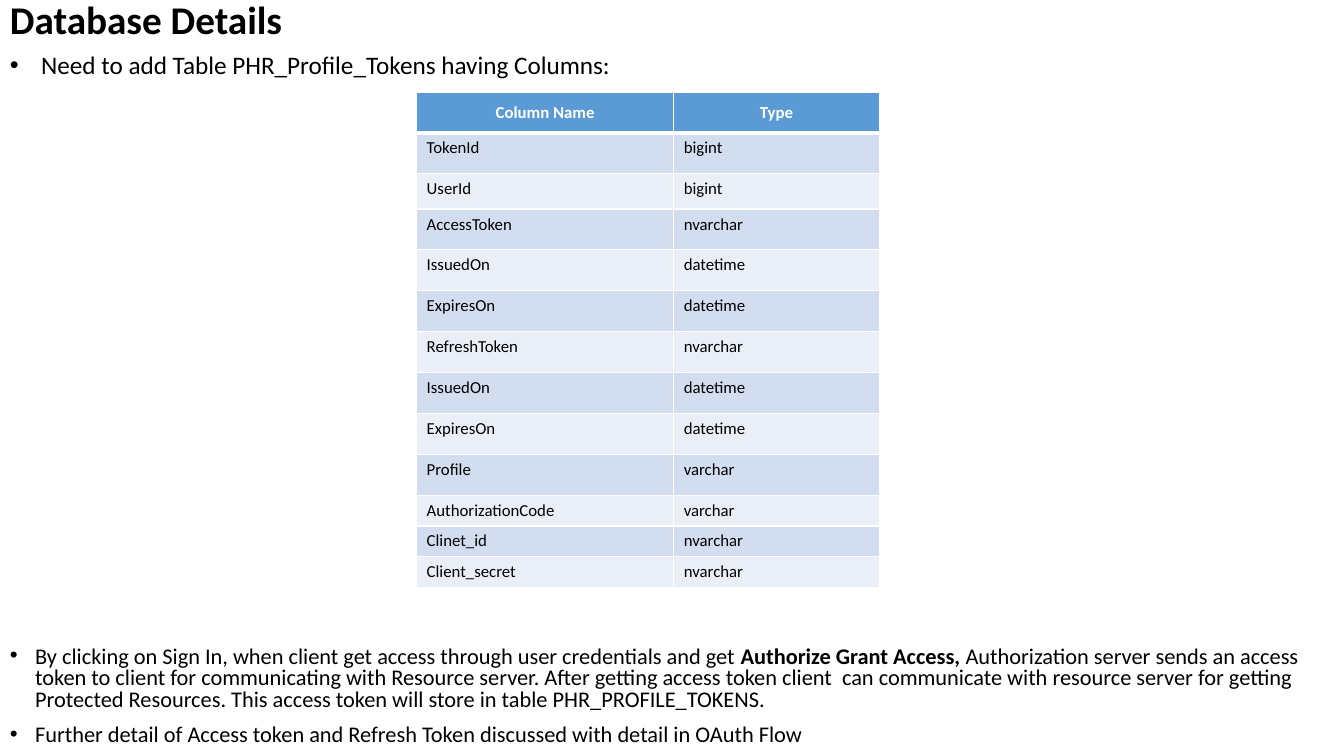
from dataclasses import dataclass

from lxml.etree import SubElement
from pptx import Presentation
from pptx.dml.color import RGBColor
from pptx.enum.text import MSO_ANCHOR as Anchor, PP_ALIGN as Align
from pptx.oxml.ns import qn
from pptx.util import Inches, Pt

GRID_COLUMNS, GRID_ROWS = 160, 90


@dataclass(frozen=True)
class Theme:
    font: str = "Calibri"
    ink: str = "000000"
    paper: str = "FFFFFF"
    header: str = "5B9BD5"
    bands: tuple = ("D2DEEF", "EAEFF7")
    title_size: int = 28
    lead_size: int = 18
    body_size: int = 16
    table_size: int = 12
    rule: int = 1
    header_rule: int = 3


class SlideBuilder:
    def __init__(self, deck, theme):
        self.theme = theme
        self.column = deck.slide_width / GRID_COLUMNS
        self.row = deck.slide_height / GRID_ROWS
        self.page = deck.slides.add_slide(deck.slide_layouts[6])
        self.page.background.fill.solid()
        self.page.background.fill.fore_color.rgb = RGBColor.from_string(theme.paper)

    def place(self, left, top, width, height):
        return (round(left * self.column), round(top * self.row),
                round(width * self.column), round(height * self.row))

    def style(self, span, size, color, bold=False):
        span.font.name = self.theme.font
        span.font.size = Pt(size)
        span.font.bold = bold
        span.font.color.rgb = RGBColor.from_string(color)

    def text_box(self, area, paragraphs, size, anchor=Anchor.TOP, wrap=True,
                 spacing=1.0, before=0, indent=None):
        frame = self.page.shapes.add_textbox(*self.place(*area)).text_frame
        frame.word_wrap = wrap
        frame.vertical_anchor = anchor
        for index, pieces in enumerate(paragraphs):
            para = frame.add_paragraph() if index else frame.paragraphs[0]
            para.line_spacing = spacing
            para.space_before = Pt(before)
            if indent:
                self.bullet(para, indent)
            for words, bold in pieces:
                span = para.add_run()
                span.text = words
                self.style(span, size, self.theme.ink, bold)

    def bullet(self, para, indent):
        properties = para._p.get_or_add_pPr()
        properties.set("marL", str(Inches(indent)))
        properties.set("indent", str(-Inches(indent)))
        SubElement(properties, qn("a:buFont"), typeface="Arial")
        SubElement(properties, qn("a:buChar"), char="•")

    def borders(self, cell, bottom, top):
        properties = cell._tc.get_or_add_tcPr()
        widths = {"lnL": self.theme.rule, "lnR": self.theme.rule, "lnT": top, "lnB": bottom}
        for position, (side, width) in enumerate(widths.items()):
            line = SubElement(properties, qn(f"a:{side}"), w=str(Pt(width)))
            fill = SubElement(line, qn("a:solidFill"))
            SubElement(fill, qn("a:srgbClr"), val=self.theme.paper)
            properties.insert(position, line)

    def table(self, left, top, widths, heights, records):
        theme = self.theme
        area = self.place(left, top, sum(widths), sum(heights))
        grid = self.page.shapes.add_table(len(records), len(widths), *area).table
        for column, width in zip(grid.columns, widths):
            column.width = round(width * self.column)
        for index, (height, record) in enumerate(zip(heights, records)):
            grid.rows[index].height = round(height * self.row)
            is_header = index == 0
            shade = theme.header if is_header else theme.bands[(index - 1) % 2]
            for cell, words in zip(grid.rows[index].cells, record):
                cell.text = words
                cell.fill.solid()
                cell.fill.fore_color.rgb = RGBColor.from_string(shade)
                cell.vertical_anchor = Anchor.MIDDLE if is_header else Anchor.TOP
                para = cell.text_frame.paragraphs[0]
                para.alignment = Align.CENTER if is_header else Align.LEFT
                self.style(para.runs[0], theme.table_size,
                           theme.paper if is_header else theme.ink, is_header)
                self.borders(cell, theme.header_rule if is_header else theme.rule,
                             theme.header_rule if index == 1 else theme.rule)


TOKEN_COLUMNS = [
    ("Column Name", "Type"),
    ("TokenId", "bigint"),
    ("UserId", "bigint"),
    ("AccessToken", "nvarchar"),
    ("IssuedOn", "datetime"),
    ("ExpiresOn", "datetime"),
    ("RefreshToken", "nvarchar"),
    ("IssuedOn", "datetime"),
    ("ExpiresOn", "datetime"),
    ("Profile", "varchar"),
    ("AuthorizationCode", "varchar"),
    ("Clinet_id", "nvarchar"),
    ("Client_secret", "nvarchar"),
]
TALL, MEDIUM, SHORT = 4.87, 4.2, 3.67
ROW_HEIGHTS = [TALL] * 2 + [MEDIUM] + [TALL] * 7 + [SHORT] * 3

NOTES = [
    [("By clicking on Sign In, when client get access through user credentials and get ", False),
     ("Authorize Grant Access, ", True),
     ("Authorization server sends an access token to client for communicating with "
      "Resource server. After getting access token client  can communicate with resource "
      "server for getting Protected Resources. This access token will store in table "
      "PHR_PROFILE_TOKENS.", False)],
    [("Further detail of Access token and Refresh Token discussed with detail in OAuth Flow",
      False)],
]


def main():
    deck = Presentation()
    deck.slide_width, deck.slide_height = Inches(13.33), Inches(7.5)
    theme = Theme()
    builder = SlideBuilder(deck, theme)
    builder.table(49.6, 10.95, (30.6, 24.5), ROW_HEIGHTS, TOKEN_COLUMNS)
    builder.text_box((0, 0, 138, 5.28), [[("Database Details", True)]], theme.title_size,
                     anchor=Anchor.MIDDLE, spacing=0.9)
    builder.text_box((0, 76.44, GRID_COLUMNS, 13.56), NOTES, theme.body_size,
                     spacing=0.8, before=10, indent=0.25)
    builder.text_box((0, 5.28, 76.2, 4.8),
                     [[("Need to add Table PHR_Profile_Tokens having Columns:", False)]],
                     theme.lead_size, wrap=False, indent=0.31)
    deck.save("out.pptx")


if __name__ == "__main__":
    main()
